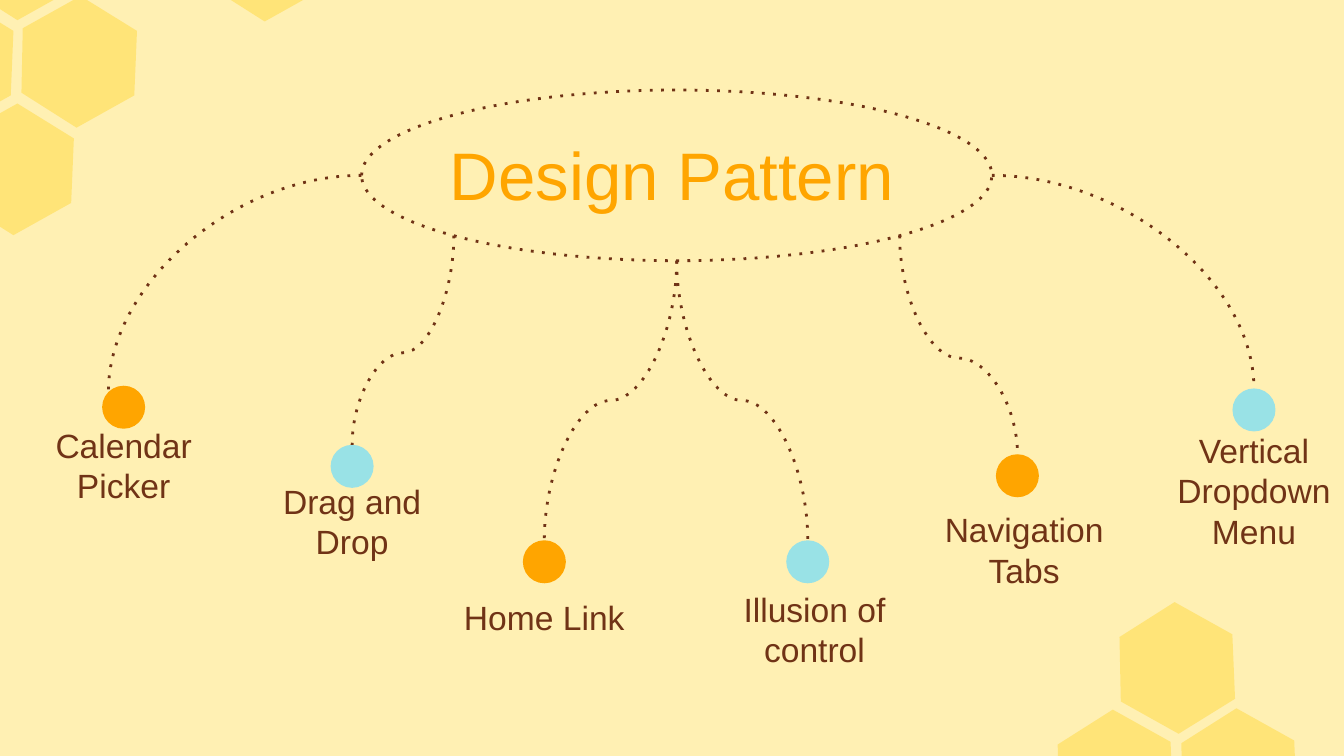
"""Build a mind map of design patterns on a honeycomb background."""
from math import cos, radians, sin

from lxml.etree import SubElement
from pptx import Presentation
from pptx.dml.color import RGBColor
from pptx.enum.dml import MSO_LINE
from pptx.enum.shapes import MSO_CONNECTOR, MSO_SHAPE
from pptx.enum.text import MSO_ANCHOR, PP_ALIGN
from pptx.oxml.ns import qn
from pptx.util import Inches, Pt

WIDE = 10
HIGH = WIDE * 9 / 16
COLORS = {"back": "FFF0B3", "comb": "FFDB45", "brown": "703316",
          "orange": "FFA500", "blue": "99E2E6"}
TITLE = "Design Pattern"
HUB = (2.69, 0.67, 4.69, 1.27)
DOT, LABEL = 0.32, 1.71

# text, color, dot center x, dot top, label shift, label top, label height,
# angle on the hub, angle on the dot, share of the drop before the bend
ARMS = [
    ("Calendar Picker", "orange", 0.92, 2.87, 0, 3.23, 0.63, 180, 225, None),
    ("Drag and Drop", "blue", 2.62, 3.31, 0, 3.65, 0.63, 135, 270, 0.56),
    ("Home Link", "orange", 4.05, 4.02, 0, 4.21, 0.63, 90, 270, 0.5),
    ("Illusion of control", "blue", 6.01, 4.02, 0.05, 4.45, 0.63, 90, 270, 0.5),
    ("Navigation Tabs", "orange", 7.57, 3.38, 0.05, 3.86, 0.63, 45, 270, 0.56),
    ("Vertical Dropdown\nMenu", "blue", 9.33, 2.89, 0, 3.31, 0.89, 0, 270, None),
]
CELL = [(0.44, 0), (0.86, 0.26), (0.84, 0.74), (0.41, 0.98), (0, 0.72), (0.01, 0.24)]
FLIP = [(x, 0.98 - y) for x, y in CELL]
COMBS = [
    (FLIP, [(8.79, 5.27), (8.33, 4.48), (7.87, 5.28)]),
    (CELL, [(1.56, -0.82), (-0.28, -0.83), (0.16, -0.03), (-0.31, 0.77), (-0.76, -0.03)]),
]


def color(name):
    return RGBColor.from_string(COLORS[name])


def rim(box, angle):
    left, top, wide, high = box
    turn = radians(angle)
    return left + wide / 2 * (1 + cos(turn)), top + high / 2 * (1 + sin(turn))


def dotted(shape):
    line = shape.line
    line.color.rgb = color("brown")
    line.width = Pt(1.5)
    line.dash_style = MSO_LINE.ROUND_DOT
    props = shape._element.spPr
    props.find(qn("a:ln")).find(qn("a:prstDash")).set("val", "dot")


def comb(shapes, cell, left, top):
    spots = [(Inches(left + x), Inches(top + y)) for x, y in cell]
    pen = shapes.build_freeform(*spots[0])
    pen.add_line_segments(spots[1:], close=True)
    shape = pen.convert_to_shape()
    shape.shadow.inherit = False
    shape.line.fill.background()
    shape.fill.solid()
    shape.fill.fore_color.rgb = color("comb")
    tint = shape.fill._xPr.find(qn("a:solidFill"))[0]
    SubElement(tint, qn("a:alpha")).set("val", "53000")


def oval(shapes, box, fill=None):
    shape = shapes.add_shape(MSO_SHAPE.OVAL, *map(Inches, box))
    shape.shadow.inherit = False
    if fill:
        shape.fill.solid()
        shape.fill.fore_color.rgb = color(fill)
        shape.line.fill.background()
    else:
        shape.fill.background()
        dotted(shape)


def curve(shapes, start, end, bend):
    (x1, y1), (x2, y2) = start, end
    left = x2 < x1
    if bend:
        midx, midy = (x1 + x2) / 2, (y1 + y2) / 2
        run, drop = abs(x2 - x1) / 2, (y2 - y1) / 2
        side = drop if left else -drop
        x1, y1, x2, y2 = midx - side, midy - run, midx + side, midy + run
    ends = map(Inches, (x1, y1, x2, y2))
    link = shapes.add_connector(MSO_CONNECTOR.CURVE, *ends)
    dotted(link)
    props = link._element.spPr
    SubElement(props, qn("a:effectLst"))
    geom = props.find(qn("a:prstGeom"))
    if bend:
        turn = 90 if left else 270
        props.find(qn("a:xfrm")).set("rot", str(turn * 60000))
        guide = SubElement(geom.find(qn("a:avLst")), qn("a:gd"))
        guide.set("name", "adj1")
        guide.set("fmla", f"val {round(bend * 100000)}")
    else:
        geom.set("prst", "curvedConnector2")


def write(shapes, box, text, size, tone, anchor):
    frame = shapes.add_textbox(*map(Inches, box)).text_frame
    frame.word_wrap = True
    frame.vertical_anchor = anchor
    frame.margin_left = frame.margin_right = Inches(0.1)
    frame.margin_top = frame.margin_bottom = Inches(0.1)
    frame.text = text
    for para in frame.paragraphs:
        para.alignment = PP_ALIGN.CENTER
        para.font.name = "Arial"
        para.font.size = Pt(size)
        para.font.color.rgb = color(tone)


def main():
    deck = Presentation()
    deck.slide_width, deck.slide_height = Inches(WIDE), Inches(HIGH)
    slide = deck.slides.add_slide(deck.slide_layouts[6])
    slide.background.fill.solid()
    slide.background.fill.fore_color.rgb = color("back")
    shapes = slide.shapes
    for cell, spots in COMBS:
        for left, top in spots:
            comb(shapes, cell, left, top)
    oval(shapes, HUB)
    write(shapes, (0.51, 0.89, 8.98, 0.73), TITLE, 36, "orange", MSO_ANCHOR.TOP)
    for text, fill, mid, top, shift, low, tall, out, land, bend in ARMS:
        dot = (mid - DOT / 2, top, DOT, DOT)
        oval(shapes, dot, fill)
        curve(shapes, rim(HUB, out), rim(dot, land), bend)
        box = (mid + shift - LABEL / 2, low, LABEL, tall)
        write(shapes, box, text, 18, "brown", MSO_ANCHOR.BOTTOM)
    deck.save("out.pptx")


if __name__ == "__main__":
    main()
